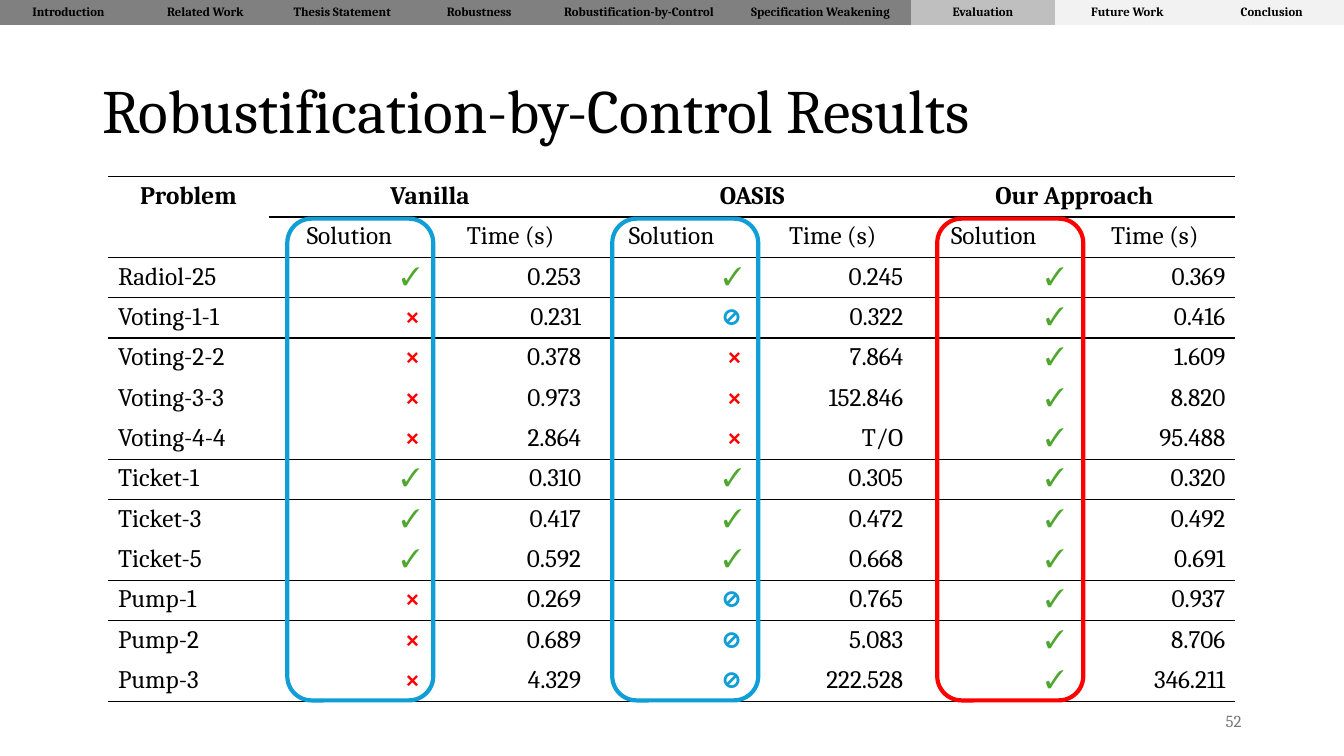
import pptx
import pptx.util
import pptx.dml.color
import pptx.enum.shapes
import pptx.enum.text
import pptx.oxml
import pptx.oxml.ns
from dataclasses import dataclass

Cm, Pt = pptx.util.Cm, pptx.util.Pt
RGB = pptx.dml.color.RGBColor.from_string
ALIGN = pptx.enum.text.PP_ALIGN
qn = pptx.oxml.ns.qn


@dataclass(frozen=True)
class Theme:
    font: str = "Cambria"
    black: str = "000000"
    page_number: str = "797979"
    green: str = "4EA72E"
    red: str = "FF0000"
    blue: str = "0F9ED5"
    past: str = "808080"
    current: str = "BFBFBF"
    upcoming: str = "F2F2F2"
    title_size: int = 44
    table_size: int = 18
    number_size: int = 12
    nav_size: int = 9


theme = Theme()
NO_STYLE = "{2D5ABB26-0587-4C30-8999-92F81FD0307C}"


def write(tf, text, size, color=theme.black, align=ALIGN.LEFT, bold=False):
    """Put one formatted line of text in a text frame."""
    tf.text = text
    p = tf.paragraphs[0]
    p.alignment = align
    font = p.runs[0].font
    font.name, font.size, font.bold = theme.font, Pt(size), bold
    font.color.rgb = RGB(color)
    return p


def add_plain_table(rows, widths, left, top, row_height):
    """Add a table without banding, grid or header style."""
    frame = s.shapes.add_table(rows, len(widths), Cm(left), Cm(top),
                               Cm(sum(widths)), Cm(row_height * rows))
    table = frame.table
    table.first_row = table.horz_banding = False
    table._tbl.tblPr.find(qn("a:tableStyleId")).text = NO_STYLE
    for column, width in zip(table.columns, widths):
        column.width = Cm(width)
    for row in table.rows:
        row.height = Cm(row_height)
    return table


prs = pptx.Presentation()
prs.slide_width, prs.slide_height = Cm(33.87), Cm(19.05)
s = prs.slides.add_slide(prs.slide_layouts[6])

# Title and page number
for text, box, size, color, align in [
    ("Robustification-by-Control Results", (2.33, 1.01, 29.21, 3.68),
     theme.title_size, theme.black, ALIGN.LEFT),
    ("52", (23.92, 17.66, 7.62, 1.01),
     theme.number_size, theme.page_number, ALIGN.RIGHT),
]:
    tf = s.shapes.add_textbox(*map(Cm, box)).text_frame
    tf.word_wrap = True
    tf.vertical_anchor = pptx.enum.text.MSO_ANCHOR.MIDDLE
    p = write(tf, text, size, color, align)
    if size == theme.title_size:
        p.line_spacing = 0.9

# Navigation bar
sections = [
    ("Introduction", 3.45, theme.past),
    ("Related Work", 3.45, theme.past),
    ("Thesis Statement", 3.45, theme.past),
    ("Robustness", 3.45, theme.past),
    ("Robustification-by-Control", 4.6, theme.past),
    ("Specification Weakening", 4.55, theme.past),
    ("Evaluation", 3.64, theme.current),
    ("Future Work", 3.64, theme.upcoming),
    ("Conclusion", 3.64, theme.upcoming),
]
nav = add_plain_table(1, [width for _, width, _ in sections], 0, 0, 0.62)
for cell, (name, _, color) in zip(nav.rows[0].cells, sections):
    write(cell.text_frame, name, theme.nav_size, align=ALIGN.CENTER, bold=True)
    cell.fill.solid()
    cell.fill.fore_color.rgb = RGB(color)

# Results table
results = [
    ("Problem", "Vanilla", "", "OASIS", "", "Our Approach", ""),
    ("",) + ("Solution", "Time (s)") * 3,
    ("Radiol-25", "✓", "0.253", "✓", "0.245", "✓", "0.369"),
    ("Voting-1-1", "×", "0.231", "⊘", "0.322", "✓", "0.416"),
    ("Voting-2-2", "×", "0.378", "×", "7.864", "✓", "1.609"),
    ("Voting-3-3", "×", "0.973", "×", "152.846", "✓", "8.820"),
    ("Voting-4-4", "×", "2.864", "×", "T/O", "✓", "95.488"),
    ("Ticket-1", "✓", "0.310", "✓", "0.305", "✓", "0.320"),
    ("Ticket-3", "✓", "0.417", "✓", "0.472", "✓", "0.492"),
    ("Ticket-5", "✓", "0.592", "✓", "0.668", "✓", "0.691"),
    ("Pump-1", "×", "0.269", "⊘", "0.765", "✓", "0.937"),
    ("Pump-2", "×", "0.689", "⊘", "5.083", "✓", "8.706"),
    ("Pump-3", "×", "4.329", "⊘", "222.528", "✓", "346.211"),
]
mark_colors = {"✓": theme.green, "×": theme.red, "⊘": theme.blue}
ruled_rows = {0, 1, 2, 3, 7, 10, 13}  # rows with a rule along their top

table = add_plain_table(len(results), [4.06] * 7, 2.72, 4.45, 0.99)
table.cell(0, 0).merge(table.cell(1, 0))
for col in (1, 3, 5):
    table.cell(0, col).merge(table.cell(0, col + 1))

for row, values in enumerate(results):
    for col, value in enumerate(values):
        cell = table.cell(row, col)
        for side, edge in (("lnT", row), ("lnB", row + 1)):
            inside_problem = col == 0 and row == 1 and side == "lnT"
            if edge in ruled_rows and not inside_problem:
                cell._tc.get_or_add_tcPr().append(pptx.oxml.parse_xml(
                    f'<a:{side} {pptx.oxml.ns.nsdecls("a")} w="{Pt(1)}"><a:solidFill>'
                    f'<a:srgbClr val="{theme.black}"/></a:solidFill></a:{side}>'))
        cell.fill.background()
        if value:
            if row < 2:
                align = ALIGN.CENTER
            else:
                align = ALIGN.RIGHT if col else ALIGN.LEFT
            write(cell.text_frame, value, theme.table_size,
                  mark_colors.get(value, theme.black), align,
                  bold=row == 0 or value in mark_colors)

# Frames around the solution columns
for i, color in enumerate((theme.blue, theme.blue, theme.red)):
    sp = s.shapes.add_shape(pptx.enum.shapes.MSO_SHAPE.ROUNDED_RECTANGLE,
                            Cm(7.24 + 8.19 * i), Cm(5.51), Cm(3.68), Cm(12.14))
    sp.shadow.inherit = False
    sp.fill.background()
    sp.line.color.rgb = RGB(color)
    sp.line.width = Pt(3)

prs.save("out.pptx")
